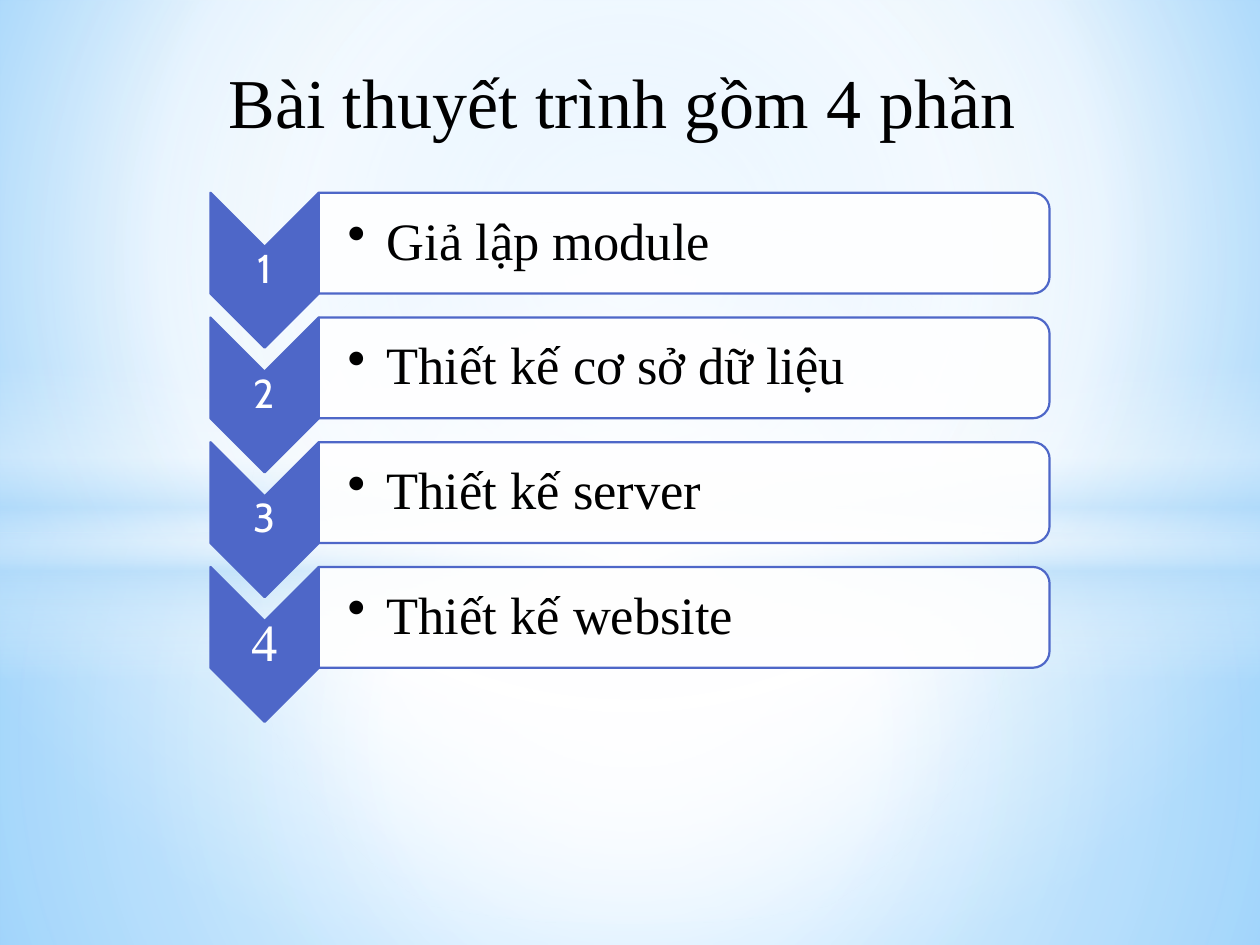
from lxml import etree
from pptx import Presentation
from pptx import util as u
from pptx.dml.color import RGBColor
from pptx.enum import shapes, text
from pptx.oxml.ns import qn

WIDE, HIGH = 10, 7.5
INK = {"blue": "4E67C8", "white": "FFFFFF", "black": "000000",
       "sky": "9ED5FF", "deep": "5BB9FF", "pale": "B4DCFA"}
SERIF, SANS = "Times New Roman", "Cabin"
KIND = shapes.MSO_SHAPE
ALIGN = text.PP_ALIGN
MIDDLE = (50, 50, 50, 50)
PARTS = ["Giả lập module", "Thiết kế cơ sở dữ liệu",
         "Thiết kế server", "Thiết kế website"]


def color(name):
    return RGBColor.from_string(INK[name])


def add(parent, tag, **attrs):
    node = etree.SubElement(parent, qn(tag))
    for key, value in attrs.items():
        node.set(key, str(value))
    return node


def blend(holder, stops, focus=None):
    """Turn the solid fill in holder into a gradient: round with a focus, else downward."""
    old = holder.find(qn("a:solidFill"))
    grad = etree.Element(qn("a:gradFill"), rotWithShape="1")
    marks = add(grad, "a:gsLst")
    for pos, name, alpha in stops:
        tint = add(add(marks, "a:gs", pos=pos * 1000), "a:srgbClr", val=INK[name])
        if alpha < 100:
            add(tint, "a:alpha", val=alpha * 1000)
    if focus:
        ring = add(grad, "a:path", path="circle")
        add(ring, "a:fillToRect", **{k: v * 1000 for k, v in zip("ltrb", focus)})
    else:
        add(grad, "a:lin", ang=5400000, scaled=0)
    holder.replace(old, grad)


def form(slide, kind, box, fill, turn=0):
    """Add a preset shape that covers box once it is turned."""
    x, y, w, h = box
    if turn:
        x, y, w, h = x + (w - h) / 2, y + (h - w) / 2, h, w
    item = slide.shapes.add_shape(kind, *map(u.Inches, (x, y, w, h)))
    item.rotation = turn
    item.shadow.inherit = False
    item.fill.solid()
    item.fill.fore_color.rgb = color(fill)
    item.line.fill.background()
    return item


def edge(item):
    item.line.color.rgb = color("blue")
    item.line.width = u.Pt(1.25)


def write(slide, box, words, font, size, ink, align, wrap=True):
    frame = slide.shapes.add_textbox(*map(u.Inches, box)).text_frame
    frame.text = words
    frame.word_wrap = wrap
    frame.vertical_anchor = text.MSO_ANCHOR.MIDDLE
    para = frame.paragraphs[0]
    para.alignment = align
    face = para.runs[0].font
    face.name, face.size, face.color.rgb = font, u.Pt(size), color(ink)
    return frame


def inset(frame, left=0.02):
    frame.margin_left = u.Inches(left)
    frame.margin_right = frame.margin_top = frame.margin_bottom = u.Inches(0.02)
    frame.paragraphs[0].line_spacing = 0.9


def backdrop(slide):
    slide.background.fill.solid()
    blend(slide.element.find(".//" + qn("p:bgPr")),
          [(0, "sky", 100), (60, "white", 100), (100, "deep", 100)], (20, 10, 20, 60))
    split = 4.23
    layers = [
        (KIND.RECTANGLE, split, HIGH - split, MIDDLE,
         [(0, "white", 91), (37, "white", 76), (100, "pale", 79)]),
        (KIND.RECTANGLE, 0, split, MIDDLE,
         [(0, "white", 89), (48, "white", 62), (100, "pale", 79)]),
        (KIND.RECTANGLE, 2.9, 2.5, None,
         [(0, "white", 0), (29, "white", 30), (45, "pale", 40),
          (55, "white", 26), (65, "pale", 60), (100, "white", 0)]),
        (KIND.OVAL, 1.75, 5.58, MIDDLE, [(0, "white", 100), (54, "white", 0)]),
    ]
    for kind, top, tall, focus, stops in layers:
        layer = form(slide, kind, (0, top, WIDE, tall), "white")
        blend(layer.element.spPr, stops, focus)


def heading(slide, box):
    frame = write(slide, box, "Bài thuyết trình gồm 4 phần",
                  SERIF, 40, "black", ALIGN.CENTER, wrap=False)
    frame.auto_size = text.MSO_AUTO_SIZE.SHAPE_TO_FIT_TEXT


def step(slide, box, mark, words, font, size):
    """One row: a downward chevron with its number, and a bar with its bullet."""
    x, y, w, h = box
    tip = 0.86
    arrow = form(slide, KIND.CHEVRON, (x, y, tip, 1.23), "blue", 90)
    edge(arrow)
    inset(write(slide, (x, y + tip / 2, tip, 0.37), mark,
                font, size, "white", ALIGN.CENTER))

    bar = form(slide, KIND.ROUND_2_SAME_RECTANGLE, (x + tip, y, w - tip, h), "white", 90)
    edge(bar)
    add(bar.element.spPr.find(qn("a:solidFill"))[0], "a:alpha", val=90000)
    frame = write(slide, (x + tip, y + 0.04, w - tip - 0.04, h - 0.08), words,
                  SERIF, 30, "black", ALIGN.LEFT)
    inset(frame, 0.23)
    props = frame.paragraphs[0]._p.get_or_add_pPr()
    props.set("marL", str(u.Inches(0.31)))
    props.set("indent", str(-u.Inches(0.31)))
    add(props, "a:buChar", char="•")


def steps(slide, box):
    x, y, w, pitch = box
    for i, words in enumerate(PARTS):
        last = i == len(PARTS) - 1
        font, size = (SERIF, 30) if last else (SANS, 23)
        step(slide, (x, y + i * pitch, w, 0.8), str(i + 1), words, font, size)


def main():
    deck = Presentation()
    deck.slide_width, deck.slide_height = u.Inches(WIDE), u.Inches(HIGH)
    slide = deck.slides.add_slide(deck.slide_layouts[6])
    backdrop(slide)
    steps(slide, (1.67, 1.53, 6.66, 0.99))
    heading(slide, (1.68, 0.41, 6.51, 0.77))
    deck.save("out.pptx")


if __name__ == "__main__":
    main()
